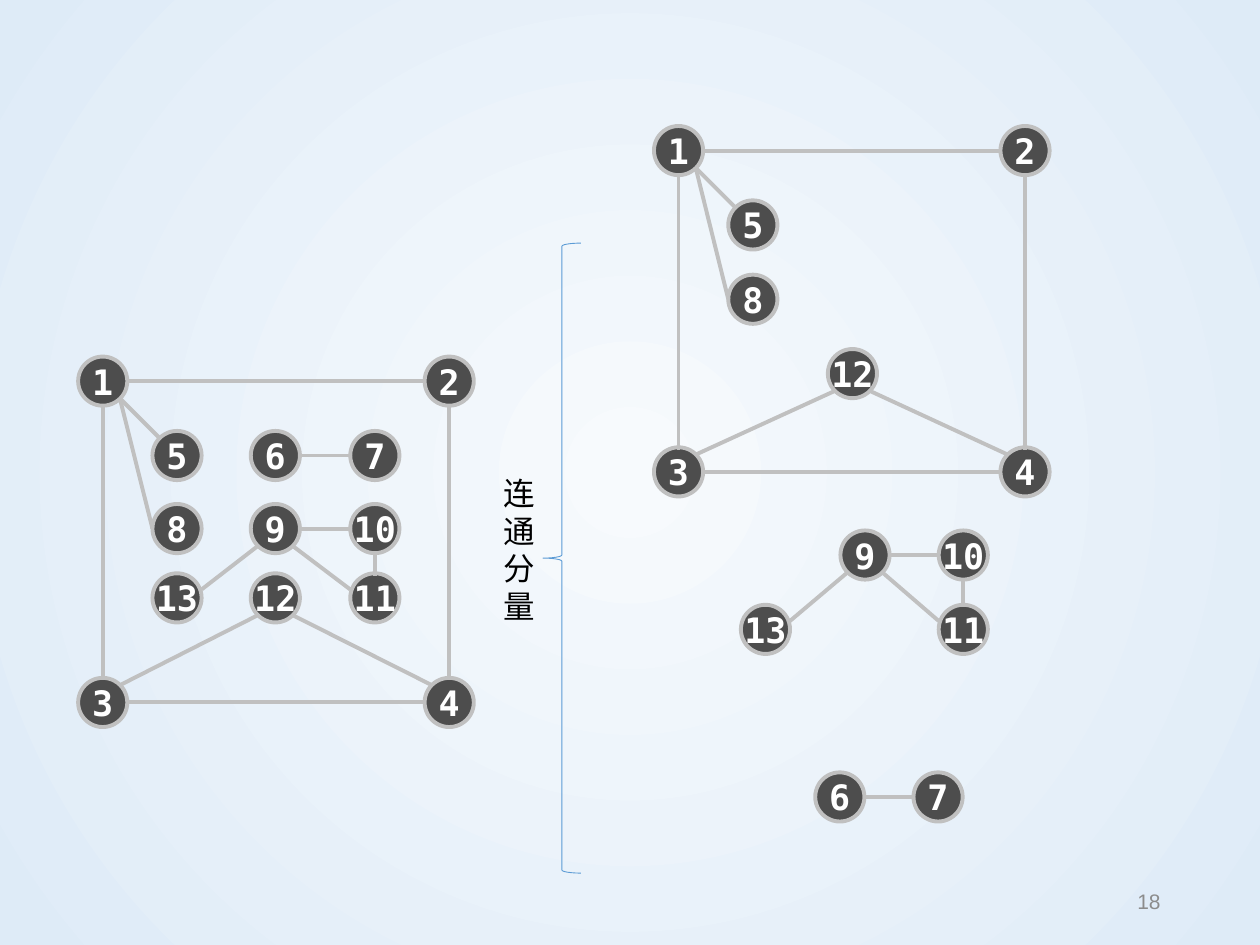
from lxml import etree
from pptx import Presentation
from pptx.dml.color import RGBColor
from pptx.enum.shapes import MSO_CONNECTOR, MSO_SHAPE
from pptx.enum.text import MSO_ANCHOR, MSO_AUTO_SIZE, PP_ALIGN
from pptx.oxml.ns import qn
from pptx.util import Inches, Pt

STRAIGHT = MSO_CONNECTOR.STRAIGHT
OVAL, BRACE = MSO_SHAPE.OVAL, MSO_SHAPE.LEFT_BRACE
MIDDLE, TOP = MSO_ANCHOR.MIDDLE, MSO_ANCHOR.TOP
CENTER, RIGHT = PP_ALIGN.CENTER, PP_ALIGN.RIGHT

COLORS = {"center": "F7FAFD", "rim": "DEEBF7", "node": "4D4D4D", "edge": "C0C0C0",
          "white": "FFFFFF", "black": "000000", "gray": "8C8C8C", "brace": "5B9BD5"}
DIAMETER = 0.39

# Points on a node's outline, as fractions of its diameter
SITES = {"top": (0.5, 0.05), "bottom": (0.5, 1), "left": (0, 0.5), "right": (1, 0.5),
         "top left": (0.15, 0.15), "top right": (0.85, 0.15),
         "bottom left": (0.15, 0.85), "bottom right": (0.85, 0.85),
         "upper left": (0, 0.33), "upper right": (1, 0.33)}

# Edges of the graph: node, site, node, site
EDGES = [
    (1, "right", 2, "left"), (1, "bottom", 3, "top"),
    (4, "left", 3, "right"), (2, "bottom", 4, "top"),
    (1, "bottom right", 5, "top left"), (1, "bottom right", 8, "left"),
    (12, "bottom right", 4, "top left"), (12, "bottom left", 3, "top right"),
    (9, "right", 10, "left"), (11, "top", 10, "bottom"),
    (9, "bottom right", 11, "upper left"), (9, "bottom left", 13, "upper right"),
    (6, "right", 7, "left"),
]

# Top left corner of every node in the whole graph and in its components
WHOLE = {1: (0.62, 2.83), 2: (3.37, 2.83), 3: (0.62, 5.38), 4: (3.37, 5.38),
         5: (1.21, 3.42), 6: (1.99, 3.42), 7: (2.78, 3.42),
         8: (1.21, 4), 9: (1.99, 4), 10: (2.78, 4),
         13: (1.21, 4.55), 12: (1.99, 4.55), 11: (2.78, 4.55)}
COMPONENTS = {1: (5.19, 1), 2: (7.94, 1), 3: (5.19, 3.55), 4: (7.94, 3.55),
              5: (5.78, 1.59), 8: (5.78, 2.18), 12: (6.57, 2.77),
              9: (6.67, 4.21), 10: (7.45, 4.21), 11: (7.45, 4.8), 13: (5.88, 4.8),
              6: (6.47, 6.13), 7: (7.25, 6.13)}


def color(name):
    return RGBColor.from_string(COLORS[name])


def write(shape, text, size, font, text_color, align=CENTER, anchor=MIDDLE,
          bold=False, wrap=True, insets=(0.1, 0.05)):
    frame = shape.text_frame
    frame.word_wrap = wrap
    frame.vertical_anchor = anchor
    frame.margin_left = frame.margin_right = Inches(insets[0])
    frame.margin_top = frame.margin_bottom = Inches(insets[1])
    paragraph = frame.paragraphs[0]
    paragraph.alignment = align
    run = paragraph.add_run()
    run.text = text
    run.font.size = Pt(size)
    run.font.name = font
    run.font.bold = bold
    run.font.color.rgb = color(text_color)


presentation = Presentation()
presentation.slide_width, presentation.slide_height = Inches(10), Inches(7.5)
slide = presentation.slides.add_slide(presentation.slide_layouts[6])

# Radial background
background = slide.background.fill
background.gradient()
for stop, name in zip(background.gradient_stops, ("center", "rim")):
    stop.color.rgb = color(name)
gradient = slide.element.find(".//" + qn("a:gradFill"))
gradient.remove(gradient.find(qn("a:lin")))
circle = etree.SubElement(gradient, qn("a:path"), {"path": "circle"})
etree.SubElement(circle, qn("a:fillToRect"), dict.fromkeys("ltrb", "50000"))

# Whole graph on the left, connected components on the right
for nodes in (WHOLE, COMPONENTS):
    for number, (left, top) in nodes.items():
        node = slide.shapes.add_shape(OVAL, Inches(left), Inches(top),
                                      Inches(DIAMETER), Inches(DIAMETER))
        node.shadow.inherit = False
        node.fill.solid()
        node.fill.fore_color.rgb = color("node")
        node.line.color.rgb = color("edge")
        node.line.width = Pt(2.25)
        write(node, str(number), 20, "DejaVu Sans Mono", "white",
              bold=True, wrap=False, insets=(0.04, 0.04))
    for start, start_site, end, end_site in EDGES:
        points = [Inches(corner + DIAMETER * fraction)
                  for number, site in ((start, start_site), (end, end_site))
                  for corner, fraction in zip(nodes[number], SITES[site])]
        edge = slide.shapes.add_connector(STRAIGHT, *points)
        edge.line.color.rgb = color("edge")
        edge.line.width = Pt(2.25)
        etree.SubElement(edge.element.spPr, qn("a:effectLst"))

# Brace and its label
brace = slide.shapes.add_shape(BRACE, Inches(4.31), Inches(1.93), Inches(0.3), Inches(5))
brace.shadow.inherit = False
brace.fill.background()
brace.line.color.rgb = color("brace")
brace.line.width = Pt(0.5)
label = slide.shapes.add_textbox(Inches(3.94), Inches(3.76), Inches(0.36), Inches(1.21))
write(label, "连通分量", 18, "Arial", "black", anchor=TOP, insets=(0, 0))
label.text_frame.auto_size = MSO_AUTO_SIZE.SHAPE_TO_FIT_TEXT

# Slide number
slide_number = slide.shapes.add_textbox(Inches(7.06), Inches(6.95), Inches(2.25), Inches(0.4))
write(slide_number, "18", 12, "Arial", "gray", align=RIGHT)

presentation.save("out.pptx")
